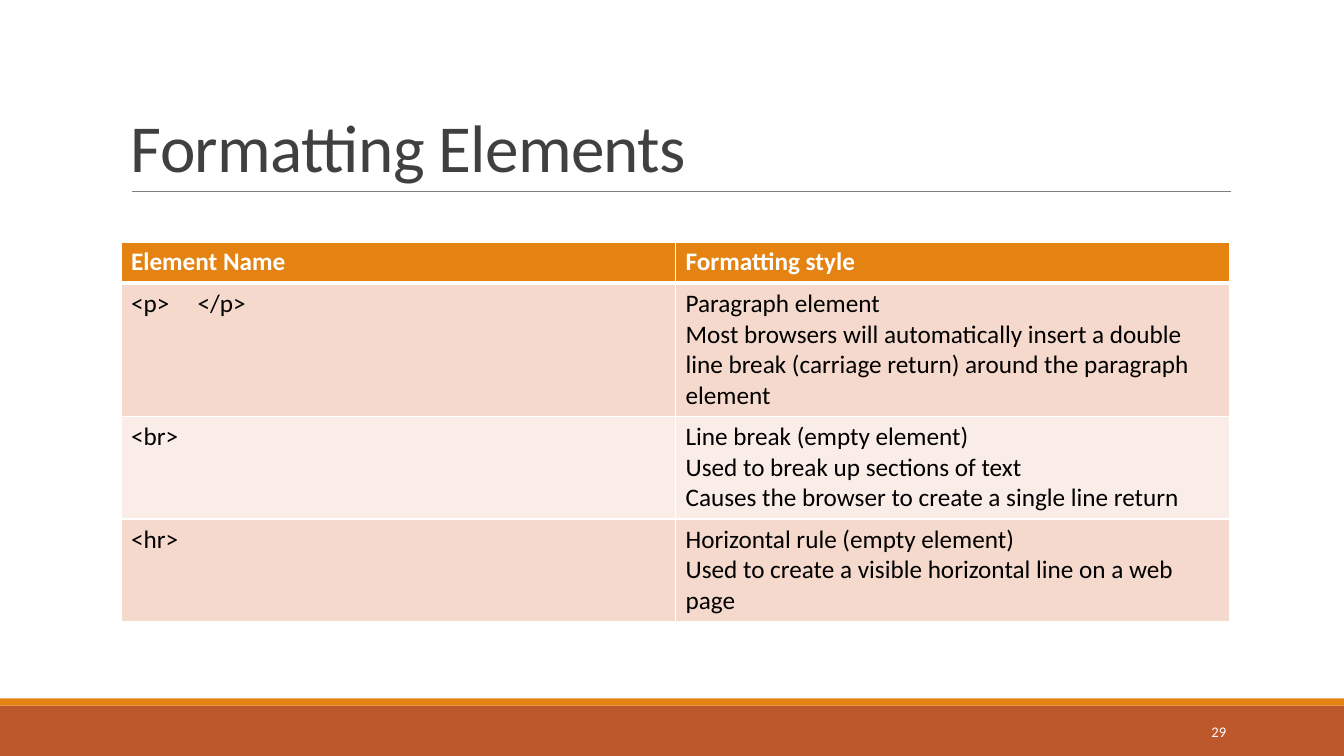
from dataclasses import dataclass

from pptx import Presentation
from pptx.dml.color import RGBColor
from pptx.enum.shapes import MSO_CONNECTOR as Connector, MSO_SHAPE as Shape
from pptx.enum.text import MSO_ANCHOR as Anchor, PP_ALIGN as Align
from pptx.oxml.ns import qn
from pptx.slide import Slide
from pptx.table import _Cell as Cell
from pptx.text.text import TextFrame
from pptx.util import Inches, Pt
from lxml.etree import SubElement, Element

FONT = "Calibri"
COLORS = {
    "orange": "E48312",
    "rust": "BD582C",
    "rule": "808080",
    "title": "404040",
    "white": "FFFFFF",
    "black": "000000",
    "band_dark": "F5D9CC",
    "band_light": "FAEDE7",
}


@dataclass(frozen=True)
class Band:
    top: float
    height: float
    color: str


@dataclass(frozen=True)
class Label:
    text: str
    left: float
    top: float
    width: float
    height: float
    size: float
    color: str
    anchor: Anchor
    align: Align = Align.LEFT
    line_spacing: float = 1.0
    tracking: int = 0


@dataclass(frozen=True)
class ElementRow:
    name: str
    style: str
    height: float


FOOTER_BANDS = (Band(7, 0.5, "rust"), Band(6.93, 0.07, "orange"))
LABELS = (
    Label("Formatting Elements", 1.2, 0.31, 11, 1.59, 48, "title", Anchor.BOTTOM,
          line_spacing=0.85, tracking=-50),
    Label("29", 10.83, 7.06, 1.43, 0.4, 10.5, "white", Anchor.MIDDLE, Align.RIGHT),
)
ROWS = (
    ElementRow("Element Name", "Formatting style", 0.41),
    ElementRow(
        "<p>\t</p>",
        "Paragraph element\nMost browsers will automatically insert a double line break "
        "(carriage return) around the paragraph element",
        1.32,
    ),
    ElementRow(
        "<br>",
        "Line break (empty element)\nUsed to break up sections of text\n"
        "Causes the browser to create a single line return",
        1.02,
    ),
    ElementRow(
        "<hr>",
        "Horizontal rule (empty element)\n"
        "Used to create a visible horizontal line on a web page",
        1.02,
    ),
)
CLOSING_TAG_STOP = 0.66


def rgb(name: str) -> RGBColor:
    """Return the named palette colour."""
    return RGBColor.from_string(COLORS[name])


def style_text(frame: TextFrame, size: float, color: str, bold: bool = False) -> None:
    """Format every run in a text frame."""
    for paragraph in frame.paragraphs:
        for run in paragraph.runs:
            run.font.name = FONT
            run.font.size = Pt(size)
            run.font.bold = bold
            run.font.color.rgb = rgb(color)


def add_band(slide: Slide, band: Band) -> None:
    """Draw a full-width footer band."""
    strip = slide.shapes.add_shape(
        Shape.RECTANGLE, 0, Inches(band.top), Inches(13.33), Inches(band.height))
    strip.shadow.inherit = False
    strip.fill.solid()
    strip.fill.fore_color.rgb = rgb(band.color)
    strip.line.fill.background()


def add_title_rule(slide: Slide) -> None:
    """Draw the thin line below the title."""
    rule = slide.shapes.add_connector(
        Connector.STRAIGHT, Inches(1.31), Inches(1.9), Inches(12.21), Inches(1.9))
    rule.line.color.rgb = rgb("rule")
    rule.line.width = Pt(0.5)
    SubElement(rule._element.spPr, qn("a:effectLst"))


def add_label(slide: Slide, label: Label) -> None:
    """Place a single-paragraph text box."""
    box = slide.shapes.add_textbox(
        Inches(label.left), Inches(label.top), Inches(label.width), Inches(label.height))
    frame = box.text_frame
    frame.text = label.text
    frame.word_wrap = True
    frame.vertical_anchor = label.anchor
    paragraph = frame.paragraphs[0]
    paragraph.alignment = label.align
    paragraph.line_spacing = label.line_spacing
    style_text(frame, label.size, label.color)
    if label.tracking:
        paragraph.runs[0].font._element.set("spc", str(label.tracking))


def add_borders(cell: Cell, header_edge: str) -> None:
    """Give a cell white borders, thick along the header edge."""
    properties = cell._tc.get_or_add_tcPr()
    for position, side in enumerate(("lnL", "lnR", "lnT", "lnB")):
        width = Pt(3 if side == header_edge else 1)
        border = Element(qn(f"a:{side}"), w=str(width))
        fill = SubElement(border, qn("a:solidFill"))
        SubElement(fill, qn("a:srgbClr"), val=COLORS["white"])
        properties.insert(position, border)


def fill_cell(cell: Cell, text: str, row_index: int) -> None:
    """Write and style one table cell."""
    is_header = row_index == 0
    background = "orange" if is_header else "band_dark" if row_index % 2 else "band_light"
    cell.text_frame.text = text
    style_text(cell.text_frame, 18, "white" if is_header else "black", is_header)
    cell.fill.solid()
    cell.fill.fore_color.rgb = rgb(background)
    add_borders(cell, {0: "lnB", 1: "lnT"}.get(row_index, ""))
    if "\t" in text:
        properties = cell.text_frame.paragraphs[0]._p.get_or_add_pPr()
        stops = SubElement(properties, qn("a:tabLst"))
        SubElement(stops, qn("a:tab"), pos=str(Inches(CLOSING_TAG_STOP)), algn="l")


def add_elements_table(slide: Slide) -> None:
    """Build the table of formatting elements."""
    height = sum(row.height for row in ROWS)
    table = slide.shapes.add_table(
        len(ROWS), 2, Inches(1.2), Inches(2.4), Inches(11), Inches(height)).table
    for index, row in enumerate(ROWS):
        table.rows[index].height = Inches(row.height)
        for column, text in enumerate((row.name, row.style)):
            fill_cell(table.cell(index, column), text, index)


def main() -> None:
    """Build and save the slide."""
    deck = Presentation()
    deck.slide_width, deck.slide_height = Inches(13.33), Inches(7.5)
    slide = deck.slides.add_slide(deck.slide_layouts[6])
    for band in FOOTER_BANDS:
        add_band(slide, band)
    add_title_rule(slide)
    for label in LABELS:
        add_label(slide, label)
    add_elements_table(slide)
    deck.save("out.pptx")


if __name__ == "__main__":
    main()
